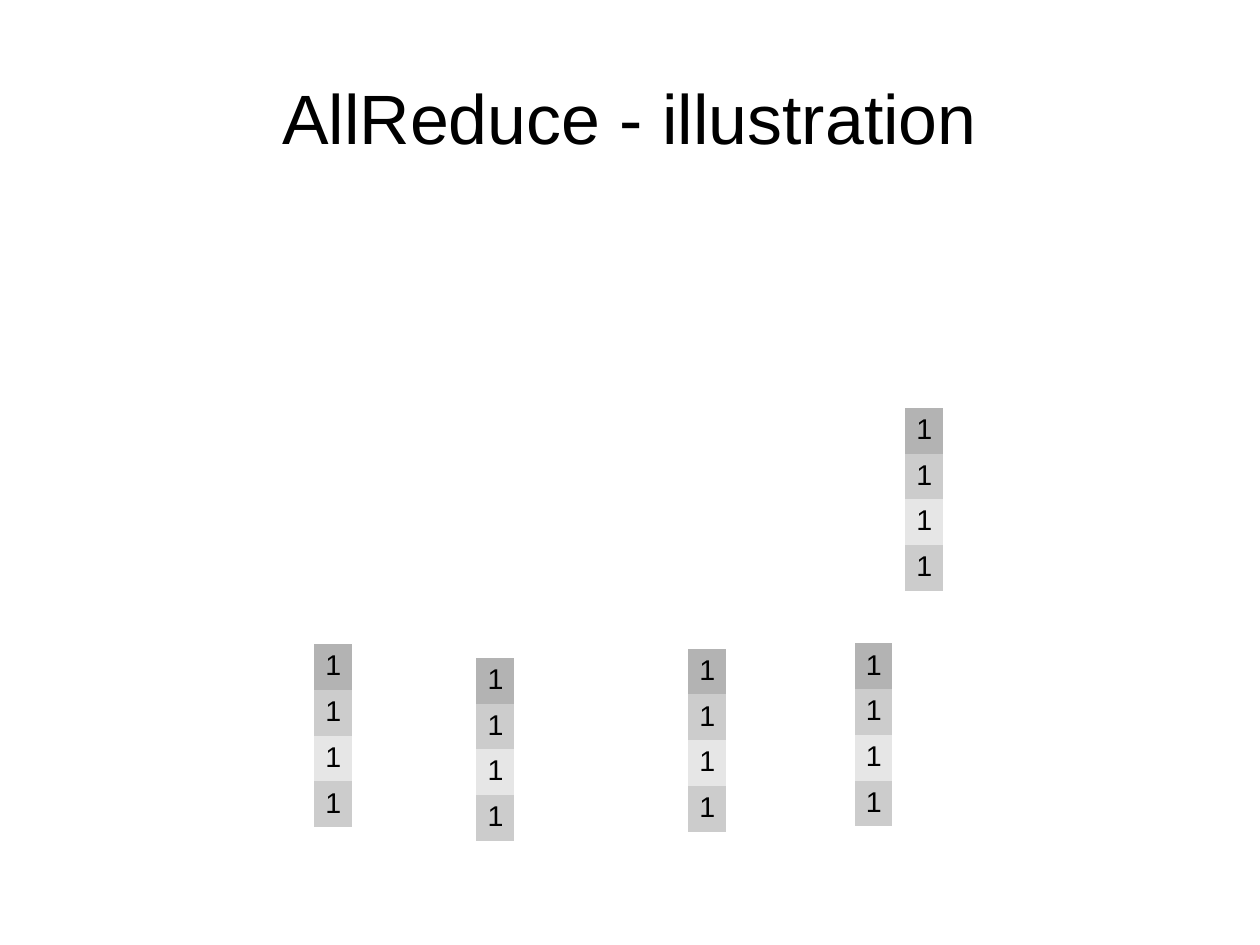
from dataclasses import dataclass

from pptx import Presentation
from pptx.dml.color import RGBColor
from pptx.enum.text import MSO_ANCHOR, PP_ALIGN
from pptx.oxml.ns import qn
from pptx.util import Cm, Pt

MIDDLE = MSO_ANCHOR.MIDDLE
CENTER = PP_ALIGN.CENTER

BLACK = RGBColor(0x00, 0x00, 0x00)
DARK = RGBColor(0xB3, 0xB3, 0xB3)
MID = RGBColor(0xCC, 0xCC, 0xCC)
LIGHT = RGBColor(0xE6, 0xE6, 0xE6)
SHADES = (DARK, MID, LIGHT, MID)

FONT = "Arial"
PLAIN = "{2D5ABB26-0587-4C30-8999-92F81FD0307C}"  # table style: no grid

# Slide size and a grid of 100 columns by 100 rows
WIDTH, HEIGHT = Cm(28), Cm(21)
COL, ROW = WIDTH / 100, HEIGHT / 100
CELL_W, CELL_H = round(3 * COL), round(4.84 * ROW)


@dataclass(frozen=True)
class Node:
    """A node's vector, placed in grid columns and rows."""
    col: float
    row: float
    value: str = "1"


NODES = (
    Node(71.83, 43.15),
    Node(37.8, 69.62),
    Node(67.82, 68.08),
    Node(54.6, 68.65),
    Node(24.92, 68.18),
)


def add_run(para, text: str, size: int) -> None:
    run = para.add_run()
    run.text = text
    run.font.name = FONT
    run.font.size = Pt(size)
    run.font.color.rgb = BLACK


def add_title(slide, text: str) -> None:
    title = slide.shapes.title
    title.left, title.top = round(5 * COL), round(4 * ROW)
    title.width, title.height = round(90 * COL), round(16.7 * ROW)
    frame = title.text_frame
    frame.margin_left = frame.margin_right = 0
    frame.margin_top = frame.margin_bottom = 0
    frame.vertical_anchor = MIDDLE
    para = frame.paragraphs[0]
    para.alignment = CENTER
    add_run(para, text, 44)


def add_node(slide, node: Node) -> None:
    count = len(SHADES)
    table = slide.shapes.add_table(
        count, 1, round(node.col * COL), round(node.row * ROW),
        CELL_W, CELL_H * count).table
    table.first_row = table.horz_banding = False
    table._tbl.tblPr.find(qn("a:tableStyleId")).text = PLAIN
    for index, shade in enumerate(SHADES):
        cell = table.cell(index, 0)
        cell.fill.solid()
        cell.fill.fore_color.rgb = shade
        add_run(cell.text_frame.paragraphs[0], node.value, 18)


def main() -> None:
    deck = Presentation()
    deck.slide_width, deck.slide_height = WIDTH, HEIGHT
    slide = deck.slides.add_slide(deck.slide_layouts.get_by_name("Title Only"))

    # Heading
    add_title(slide, "AllReduce - illustration")

    # One vector per node
    for node in NODES:
        add_node(slide, node)

    deck.save("out.pptx")


if __name__ == "__main__":
    main()
